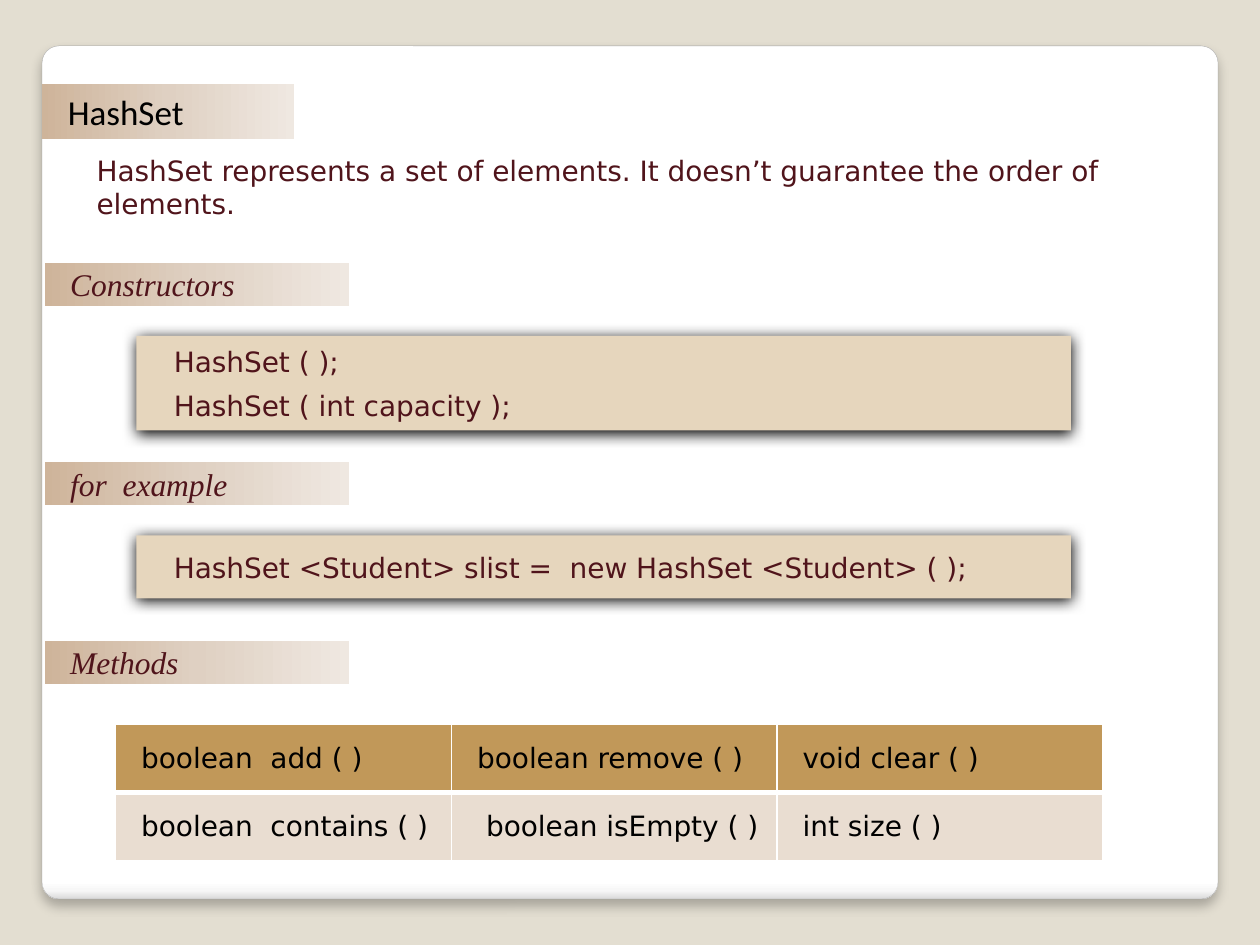
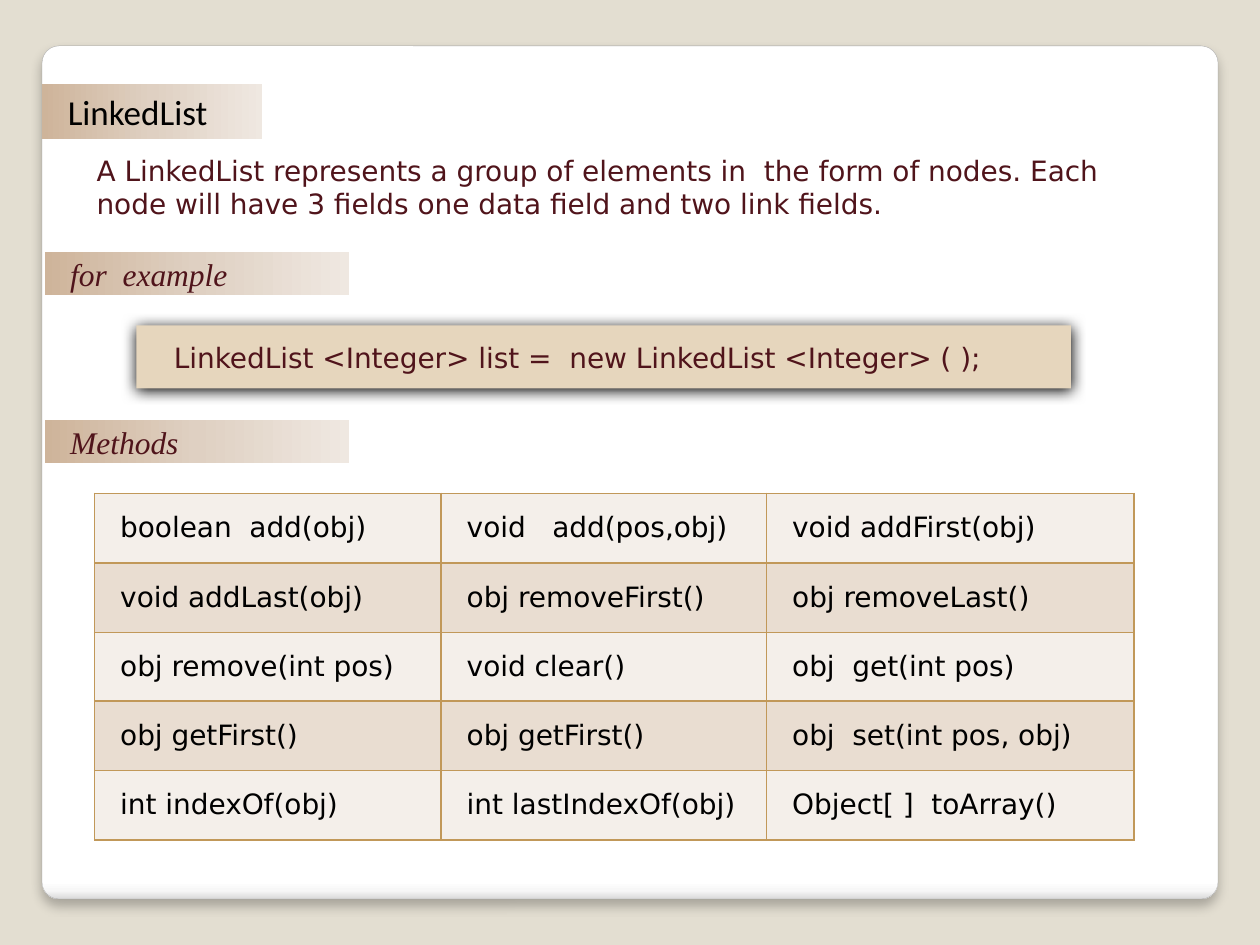
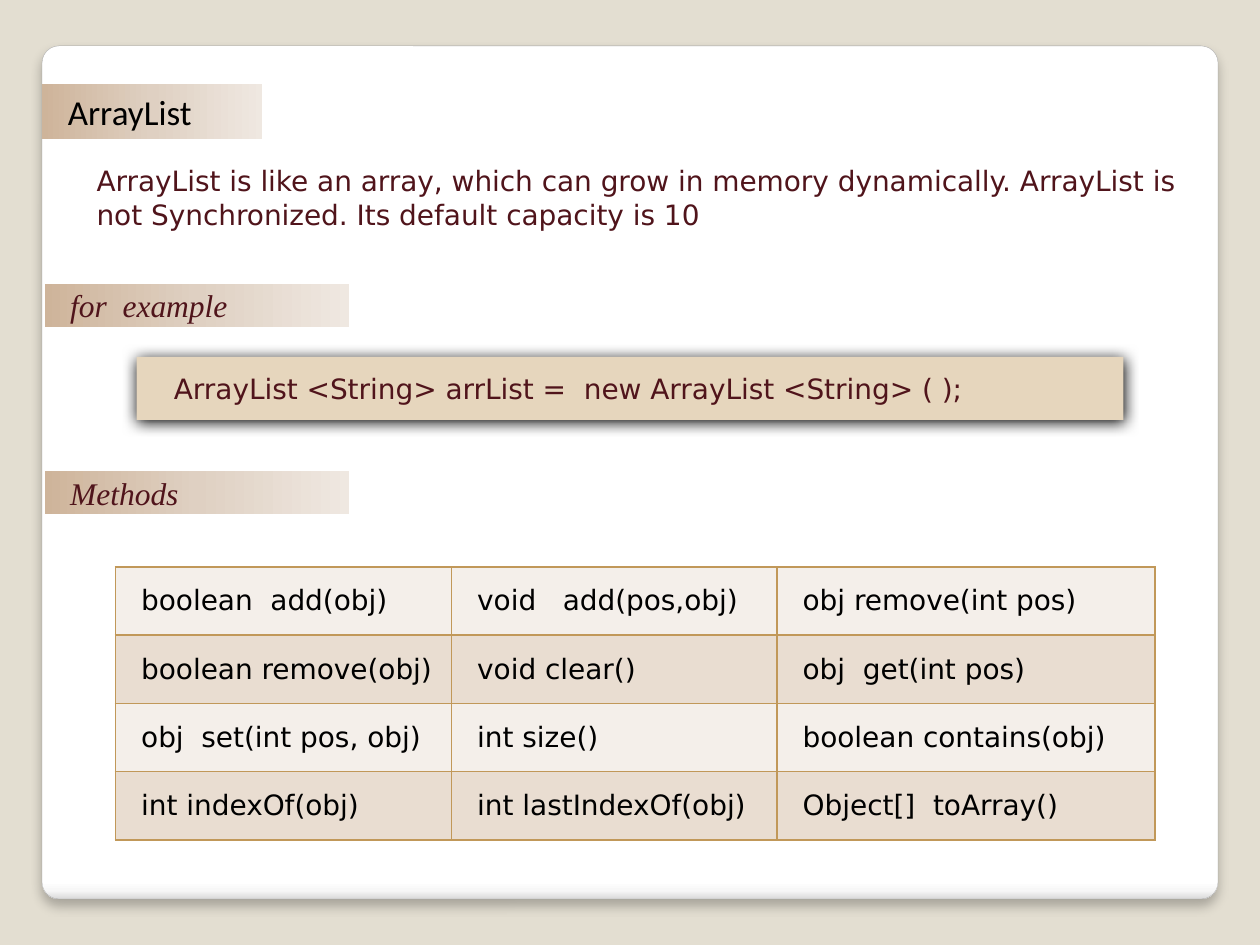
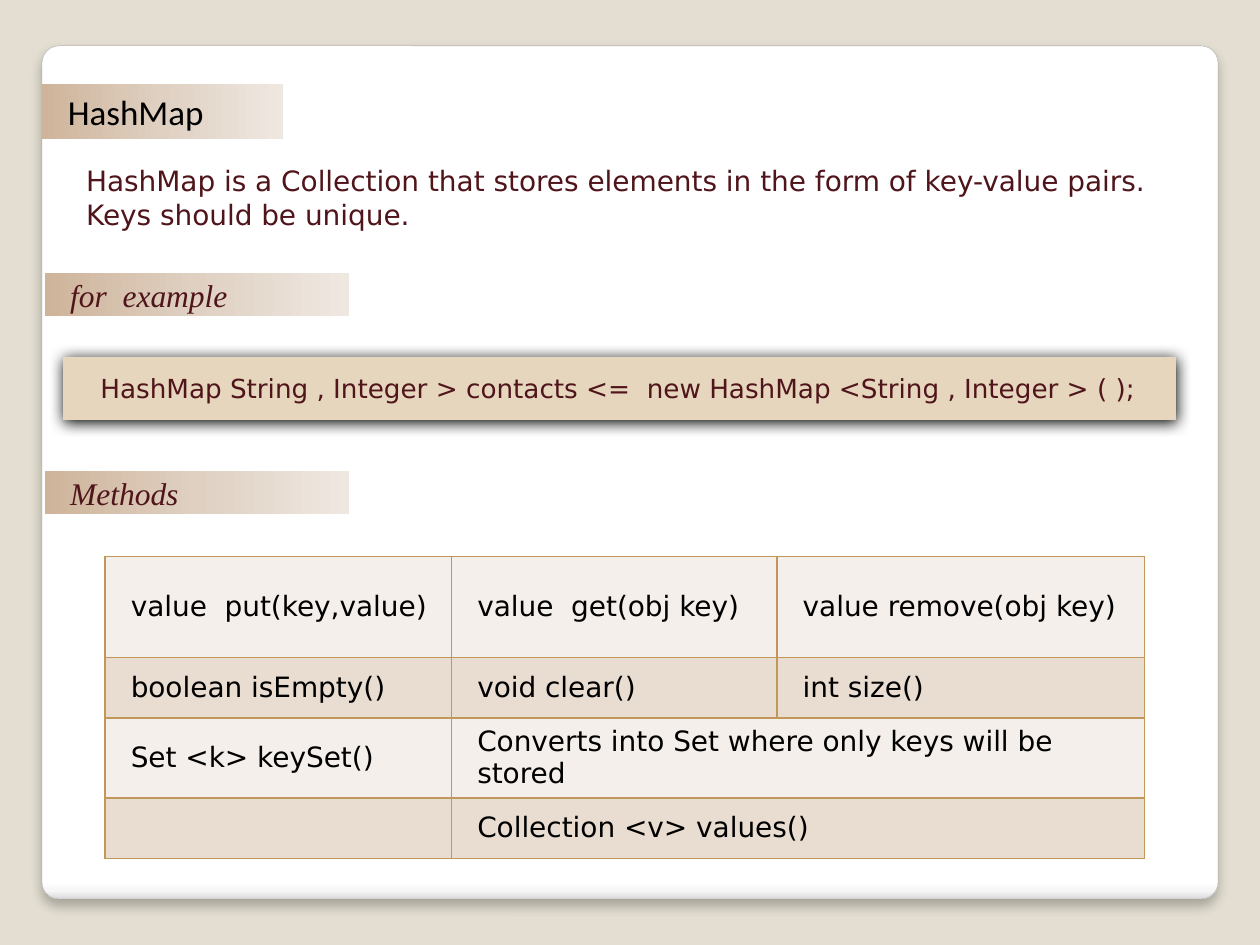
from dataclasses import dataclass
from typing import NamedTuple, Optional

from lxml import etree
from pptx import Presentation
from pptx.dml.color import RGBColor
from pptx.enum.shapes import MSO_SHAPE
from pptx.enum.text import MSO_ANCHOR, MSO_AUTO_SIZE, PP_ALIGN
from pptx.oxml.ns import qn
from pptx.util import Emu, Pt

RECTANGLE = MSO_SHAPE.RECTANGLE
ROUNDED_RECTANGLE = MSO_SHAPE.ROUNDED_RECTANGLE
TOP = MSO_ANCHOR.TOP
MIDDLE = MSO_ANCHOR.MIDDLE
LEFT = PP_ALIGN.LEFT
NO_AUTOFIT = MSO_AUTO_SIZE.NONE

EMU_PER_PX = 9525
COLORS = {
    "background": "E3DED1",
    "card_line": "A4A4A4",
    "shadow": "000000",
    "black": "000000",
    "maroon": "50141B",
    "code": "E6D6BD",
    "header": "C19859",
    "band_light": "F4EFEA",
    "band_dark": "E9DDD1",
    "border": "C19859",
    "white": "FFFFFF",
}
BAR_STOPS = ((0, "CEB49A"), (50, "DFD0C2"), (100, "EFE8E1"))
CARD_STOPS = ((0, "FFFFFF"), (98, "FFFFFF"), (99, "F7F7F7"), (100, "DADADA"))


class Box(NamedTuple):
    left: int
    top: int
    width: int
    height: int


class TextStyle(NamedTuple):
    font: str
    size: int
    color: str
    italic: bool = False
    indent: int = 0
    gap: int = 0


CARD = Box(32, 35, 896, 650)
TITLE = TextStyle("Calibri", 20, "black", indent=10)
HEADING = TextStyle("Times New Roman", 18, "maroon", italic=True, indent=10)
DESCRIPTION = TextStyle("DejaVu Sans", 16, "maroon")
CODE = TextStyle("DejaVu Sans", 16, "maroon", indent=19, gap=6)
CELL = TextStyle("DejaVu Sans", 16, "black", indent=10)


@dataclass(frozen=True)
class Heading:
    label: str
    top: int


@dataclass(frozen=True)
class CodeBox:
    box: Box
    lines: tuple[str, ...]
    size: int = CODE.size


@dataclass(frozen=True)
class MethodTable:
    left: int
    top: int
    columns: tuple[int, ...]
    row_heights: tuple[int, ...]
    rows: tuple[tuple[Optional[str], ...], ...]
    has_header: bool = False


@dataclass(frozen=True)
class CollectionSlide:
    title: str
    title_width: int
    description_box: Box
    description: tuple[str, ...]
    headings: tuple[Heading, ...]
    code_boxes: tuple[CodeBox, ...]
    methods: MethodTable


SLIDES = (
    CollectionSlide(
        "HashSet", 192, Box(64, 112, 800, 61),
        ("HashSet represents a set of elements. It doesn’t guarantee the order of elements.",),
        (Heading("Constructors", 200), Heading("for  example", 352), Heading("Methods", 488)),
        (
            CodeBox(Box(104, 256, 712, 72), ("HashSet ( );", "HashSet ( int capacity );")),
            CodeBox(Box(104, 408, 712, 48),
                    ("HashSet <Student> slist =  new HashSet <Student> ( );",)),
        ),
        MethodTable(88, 552, (256, 248, 248), (52,) * 2, (
            ("boolean  add ( )", "boolean remove ( )", "void clear ( )"),
            ("boolean  contains ( )", " boolean isEmpty ( )", "int size ( )"),
        ), has_header=True),
    ),
    CollectionSlide(
        "LinkedList", 168, Box(64, 112, 808, 61),
        ("A LinkedList represents a group of elements in  the form of nodes. "
         "Each node will have 3 fields one data field and two link fields.",),
        (Heading("for  example", 192), Heading("Methods", 320)),
        (CodeBox(Box(104, 248, 712, 48),
                 ("LinkedList <Integer> list =  new LinkedList <Integer> ( );",)),),
        MethodTable(72, 376, (264, 248, 280), (53, 53, 52, 53, 53), (
            ("boolean  add(obj)", "void   add(pos,obj)", "void addFirst(obj)"),
            ("void addLast(obj)", "obj removeFirst()", "obj removeLast()"),
            ("obj remove(int pos)", "void clear()", "obj  get(int pos)"),
            ("obj getFirst()", "obj getFirst()", "obj  set(int pos, obj)"),
            ("int indexOf(obj)", "int lastIndexOf(obj)", "Object[ ]  toArray()"),
        )),
    ),
    CollectionSlide(
        "ArrayList", 168, Box(64, 120, 856, 61),
        ("ArrayList is like an array, which can grow in memory dynamically. "
         "ArrayList is not Synchronized. Its default capacity is 10",),
        (Heading("for  example", 216), Heading("Methods", 359)),
        (CodeBox(Box(104, 272, 752, 48),
                 ("ArrayList <String> arrList =  new ArrayList <String> ( );",)),),
        MethodTable(88, 432, (256, 248, 288), (52,) * 4, (
            ("boolean  add(obj)", "void   add(pos,obj)", "obj remove(int pos)"),
            ("boolean remove(obj)", "void clear()", "obj  get(int pos)"),
            ("obj  set(int pos, obj)", "int size()", "boolean contains(obj)"),
            ("int indexOf(obj)", "int lastIndexOf(obj)", "Object[]  toArray()"),
        )),
    ),
    CollectionSlide(
        "HashMap", 184, Box(56, 120, 856, 61),
        ("HashMap is a Collection that stores elements in the form of key-value pairs.",
         "Keys should be unique."),
        (Heading("for  example", 208), Heading("Methods", 359)),
        (CodeBox(Box(48, 272, 848, 48),
                 ("HashMap String , Integer > contacts <=  new HashMap <String , Integer > ( );",),
                 size=15),),
        MethodTable(80, 424, (264, 248, 280), (77, 46, 61, 46), (
            ("value  put(key,value)", "value  get(obj key)", "value remove(obj key)"),
            ("boolean isEmpty()", "void clear()", "int size()"),
            ("Set <k> keySet()", "Converts into Set where only keys will be stored", None),
            ("", "Collection <v> values()", None),
        )),
    ),
)


def px(length: int) -> Emu:
    return Emu(length * EMU_PER_PX)


def rgb(name: str) -> RGBColor:
    return RGBColor.from_string(COLORS[name])


def add_element(parent, tag: str, **attributes):
    element = etree.SubElement(parent, qn(tag))
    for key, value in attributes.items():
        element.set(key, str(value))
    return element


def place(shape, box: Box) -> None:
    shape.left, shape.top, shape.width, shape.height = map(px, box)


def add_box(slide, kind, box: Box):
    shape = slide.shapes.add_shape(kind, *map(px, box))
    shape.shadow.inherit = False
    shape.line.fill.background()
    return shape


def fill_gradient(shape, stops: tuple, angle: int) -> None:
    shape.fill.gradient()
    shape.fill.gradient_angle = angle
    stop_list = shape._element.spPr.find(f"{qn('a:gradFill')}/{qn('a:gsLst')}")
    stop_list.clear()
    for position, color in stops:
        stop = add_element(stop_list, "a:gs", pos=position * 1000)
        add_element(stop, "a:srgbClr", val=color)


def add_shadow(shape, opacity: int, blur: float, distance: float) -> None:
    effects = shape._element.spPr.find(qn("a:effectLst"))
    shadow = add_element(effects, "a:outerShdw", blurRad=Pt(blur), dist=Pt(distance),
                         dir=5400000, algn="t", rotWithShape=0)
    color = add_element(shadow, "a:srgbClr", val=COLORS["shadow"])
    add_element(color, "a:alpha", val=opacity * 1000)


def write_lines(frame, lines: tuple[str, ...], style: TextStyle, anchor) -> None:
    frame.word_wrap = True
    frame.auto_size = NO_AUTOFIT
    frame.vertical_anchor = anchor
    for index, line in enumerate(lines):
        paragraph = frame.paragraphs[0] if index == 0 else frame.add_paragraph()
        paragraph.text = line
        format_paragraph(paragraph, style, style.gap if index else 0)


def format_paragraph(paragraph, style: TextStyle, gap: int = 0) -> None:
    paragraph.alignment = LEFT
    paragraph.space_before = Pt(gap)
    properties = paragraph._p.get_or_add_pPr()
    properties.set("marL", str(px(style.indent)))
    properties.set("indent", "0")
    add_element(properties, "a:buNone")
    font = paragraph.font
    font.name = style.font
    font.size = Pt(style.size)
    font.italic = style.italic
    font.color.rgb = rgb(style.color)


def add_card(slide) -> None:
    card = add_box(slide, ROUNDED_RECTANGLE, CARD)
    card.adjustments[0] = 0.02
    fill_gradient(card, CARD_STOPS, 270)
    card.line.color.rgb = rgb("card_line")
    card.line.width = Pt(0.16)
    add_shadow(card, 25, 6, 4)
    slide.shapes._spTree.insert(2, card._element)


def add_heading(slide, heading: Heading) -> None:
    bar = add_box(slide, RECTANGLE, Box(34, heading.top, 232, 33))
    fill_gradient(bar, BAR_STOPS, 0)
    write_lines(bar.text_frame, (heading.label,), HEADING, MIDDLE)


def add_code_box(slide, code: CodeBox) -> None:
    panel = add_box(slide, RECTANGLE, code.box)
    panel.fill.solid()
    panel.fill.fore_color.rgb = rgb("code")
    add_shadow(panel, 100, 8.5, 1)
    write_lines(panel.text_frame, code.lines, CODE._replace(size=code.size), MIDDLE)


def set_borders(cell, color: str, top: int, bottom: int) -> None:
    properties = cell._tc.get_or_add_tcPr()
    for side, width in (("L", 1), ("R", 1), ("T", top), ("B", bottom)):
        line = add_element(properties, f"a:ln{side}", w=Pt(width))
        fill = add_element(line, "a:solidFill")
        add_element(fill, "a:srgbClr", val=COLORS[color])


def add_methods(slide, methods: MethodTable) -> None:
    box = Box(methods.left, methods.top, sum(methods.columns), sum(methods.row_heights))
    table = slide.shapes.add_table(
        len(methods.rows), len(methods.columns), *map(px, box)).table
    table.first_row = False
    table.horz_banding = False
    for column, width in zip(table.columns, methods.columns):
        column.width = px(width)
    for row_index, texts in enumerate(methods.rows):
        table.rows[row_index].height = px(methods.row_heights[row_index])
        is_header = methods.has_header and row_index == 0
        below_header = methods.has_header and row_index == 1
        band = "band_dark" if row_index % 2 else "band_light"
        for column_index, text in enumerate(texts):
            cell = table.cell(row_index, column_index)
            set_borders(cell, "white" if methods.has_header else "border",
                        3 if below_header else 1, 3 if is_header else 1)
            cell.fill.solid()
            cell.fill.fore_color.rgb = rgb("header" if is_header else band)
            cell.vertical_anchor = MIDDLE
            if text is None:
                table.cell(row_index, column_index - 1).merge(cell)
            elif text:
                paragraph = cell.text_frame.paragraphs[0]
                paragraph.text = text
                format_paragraph(paragraph, CELL)


def fill_slide(slide, content: CollectionSlide) -> None:
    add_card(slide)
    title = slide.shapes.title
    place(title, Box(32, 64, content.title_width, 42))
    fill_gradient(title, BAR_STOPS, 0)
    write_lines(title.text_frame, (content.title,), TITLE, TOP)
    body = slide.placeholders[1]
    place(body, content.description_box)
    write_lines(body.text_frame, content.description, DESCRIPTION, TOP)
    add_methods(slide, content.methods)
    for heading in content.headings:
        add_heading(slide, heading)
    for code in content.code_boxes:
        add_code_box(slide, code)


def main() -> None:
    presentation = Presentation()
    presentation.slide_width = px(960)
    presentation.slide_height = px(720)
    background = presentation.slide_master.background.fill
    background.solid()
    background.fore_color.rgb = rgb("background")
    layout = presentation.slide_layouts[1]
    for content in SLIDES:
        fill_slide(presentation.slides.add_slide(layout), content)
    presentation.save("out.pptx")


if __name__ == "__main__":
    main()
